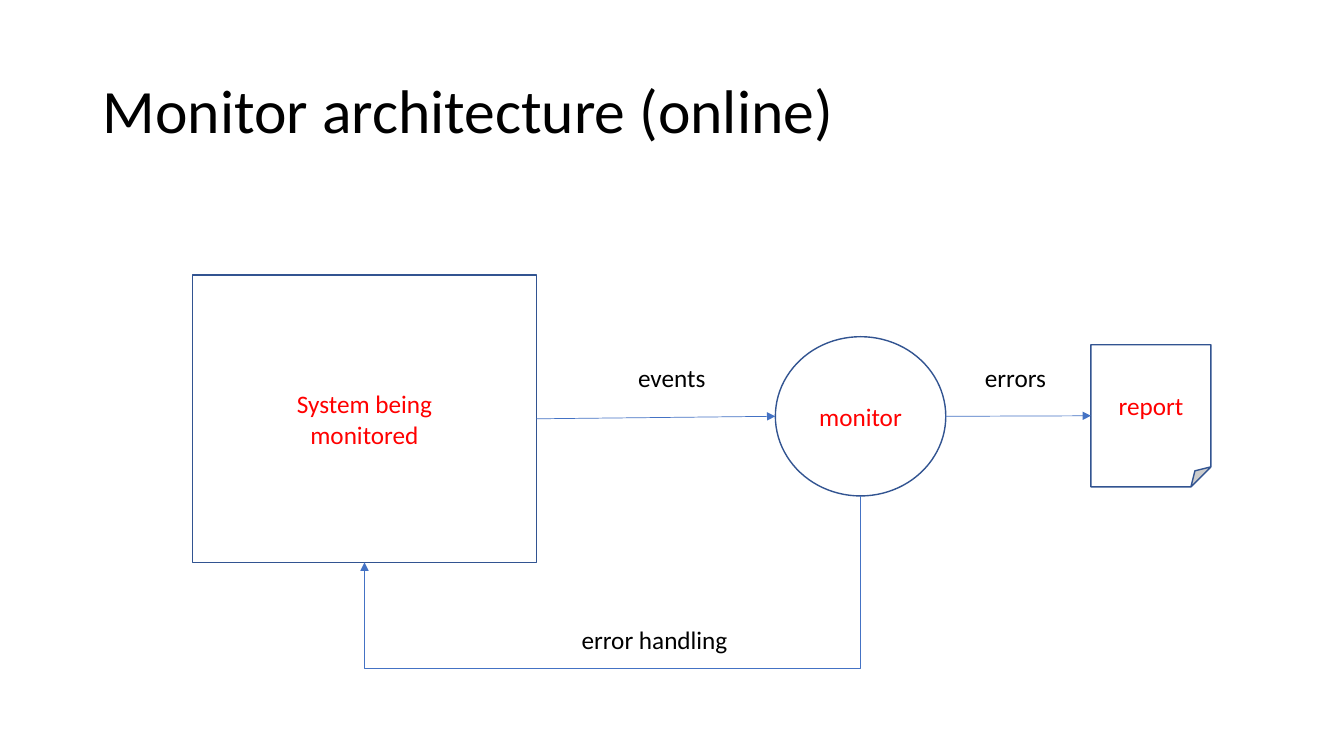
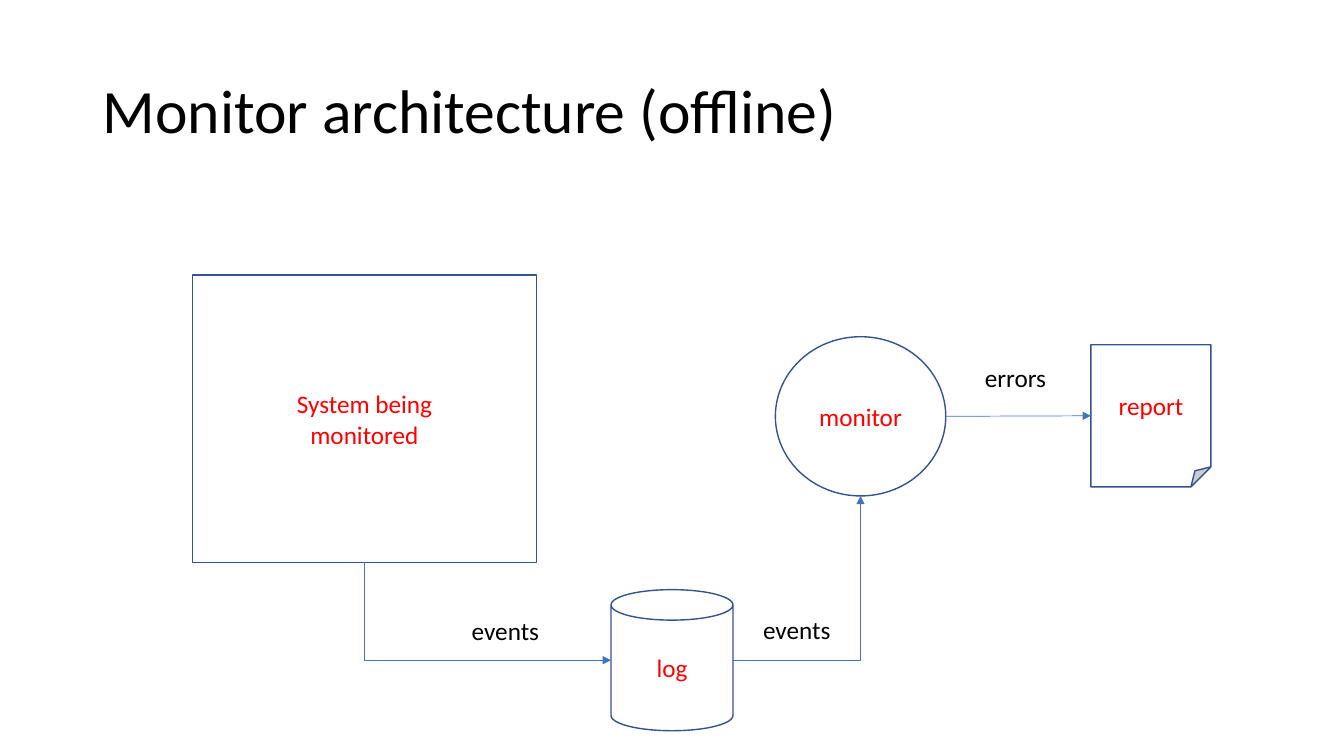
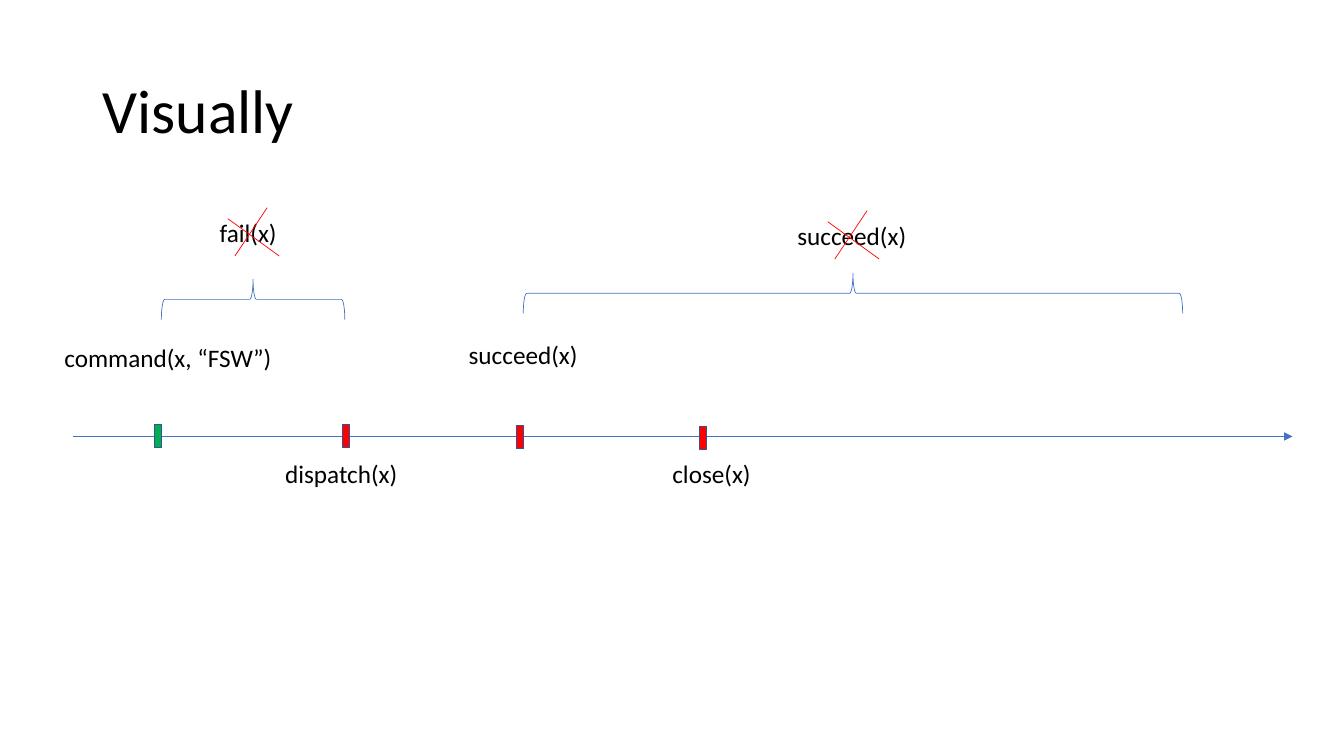
from lxml.etree import SubElement
from pptx import Presentation
from pptx.dml.color import RGBColor
from pptx.enum.shapes import MSO_CONNECTOR, MSO_SHAPE
from pptx.enum.text import MSO_ANCHOR, MSO_AUTO_SIZE, PP_ALIGN
from pptx.oxml.ns import qn
from pptx.util import Inches, Pt

# Shared style
FONT = "Calibri"
BLACK = RGBColor(0x00, 0x00, 0x00)
WHITE = RGBColor(0xFF, 0xFF, 0xFF)
RED = RGBColor(0xFF, 0x00, 0x00)
GREEN = RGBColor(0x00, 0xB0, 0x50)
BLUE = RGBColor(0x44, 0x72, 0xC4)
DARK_BLUE = RGBColor(0x32, 0x54, 0x91)

# Connection sites, numbered as in each preset shape
FOUR_SITES = {"top": 0, "left": 1, "bottom": 2, "right": 3}
SITES = {
    MSO_SHAPE.RECTANGLE: FOUR_SITES,
    MSO_SHAPE.FOLDED_CORNER: FOUR_SITES,
    MSO_SHAPE.OVAL: {"top": 0, "left": 2, "bottom": 4, "right": 6},
    MSO_SHAPE.CAN: {"top": 1, "left": 2, "bottom": 3, "right": 4},
}


def format_text(frame, size, color, align=PP_ALIGN.LEFT):
    for para in frame.paragraphs:
        para.alignment = align
        for span in para.runs:
            span.font.name = FONT
            span.font.size = Pt(size)
            span.font.color.rgb = color


def add_text(page, text, left, top, width, height=0.4, size=18):
    box = page.shapes.add_textbox(Inches(left), Inches(top), Inches(width), Inches(height))
    box.text_frame.text = text
    format_text(box.text_frame, size, BLACK)
    return box.text_frame


def add_label(page, text, left, top, width):
    frame = add_text(page, text, left, top, width)
    frame.word_wrap = False
    frame.auto_size = MSO_AUTO_SIZE.SHAPE_TO_FIT_TEXT


def add_page(deck, title):
    page = deck.slides.add_slide(deck.slide_layouts[6])
    frame = add_text(page, title, 0.92, 0.4, 11.5, 1.45, size=44)
    frame.word_wrap = True
    frame.vertical_anchor = MSO_ANCHOR.MIDDLE
    frame.paragraphs[0].line_spacing = 0.9
    return page


def add_node(page, kind, left, top, width, height, text="", fill=WHITE):
    node = page.shapes.add_shape(kind, Inches(left), Inches(top), Inches(width), Inches(height))
    node.shadow.inherit = False
    node.fill.solid()
    node.fill.fore_color.rgb = fill
    node.line.color.rgb = DARK_BLUE
    node.line.width = Pt(1)
    if text:
        node.text_frame.text = text
        node.text_frame.vertical_anchor = MSO_ANCHOR.MIDDLE
        format_text(node.text_frame, 18, RED, PP_ALIGN.CENTER)
    return node


# Lines and arrows
def add_line(page, start, end, color=BLUE, arrow=False, kind=MSO_CONNECTOR.STRAIGHT):
    line = page.shapes.add_connector(kind, *start, *end)
    line.line.color.rgb = color
    line.line.width = Pt(0.5)
    if arrow:
        SubElement(line.get_or_add_ln(), qn("a:tailEnd"), type="triangle")
    SubElement(line.element.spPr, qn("a:effectLst"))
    return line


def site_point(node, side):
    across = {"left": 0, "right": 2}.get(side, 1)
    down = {"top": 0, "bottom": 2}.get(side, 1)
    return node.left + node.width * across // 2, node.top + node.height * down // 2


def link(page, source, source_side, target, target_side, kind=MSO_CONNECTOR.STRAIGHT):
    line = add_line(page, site_point(source, source_side), site_point(target, target_side),
                    arrow=True, kind=kind)
    holder = line.element.find(".//" + qn("p:cNvCxnSpPr"))
    for tag, node, side in (("a:stCxn", source, source_side), ("a:endCxn", target, target_side)):
        site = SITES[node.auto_shape_type][side]
        SubElement(holder, qn(tag), id=str(node.shape_id), idx=str(site))
    return line


def bend(line, preset, turn=0, flip=None, adjust=None):
    """Give an elbow its preset, quarter turn, flip and bend position."""
    center_x = line.left + line.width // 2
    center_y = line.top + line.height // 2
    if turn:
        line.width, line.height = line.height, line.width
        line.left = center_x - line.width // 2
        line.top = center_y - line.height // 2
    frame = line.element.spPr.find(qn("a:xfrm"))
    for name in ("flipH", "flipV"):
        frame.attrib.pop(name, None)
    if turn:
        frame.set("rot", str(turn * 60000))
    if flip:
        frame.set(flip, "1")
    geometry = line.element.spPr.find(qn("a:prstGeom"))
    geometry.set("prst", preset)
    if adjust is not None:
        guides = geometry.find(qn("a:avLst"))
        if guides is None:
            guides = SubElement(geometry, qn("a:avLst"))
        SubElement(guides, qn("a:gd"), name="adj1", fmla=f"val {round(adjust * 100000)}")


# Monitor architecture: the parts both variants share
def add_architecture(page, left, top):
    system = add_node(page, MSO_SHAPE.RECTANGLE, left, top, 3.41, 2.85, "System being\nmonitored")
    monitor = add_node(page, MSO_SHAPE.OVAL, left + 5.78, top + 0.61, 1.69, 1.58, "monitor")
    report = add_node(page, MSO_SHAPE.FOLDED_CORNER, left + 8.91, top + 0.69, 1.19, 1.41, "report")
    link(page, monitor, "right", report, "left")
    add_label(page, "errors", left + 7.76, top + 0.82, 0.81)
    return system, monitor


def add_online(page, left, top):
    system, monitor = add_architecture(page, left, top)
    link(page, system, "right", monitor, "left")
    add_label(page, "events", left + 4.32, top + 0.82, 0.88)
    feedback = link(page, monitor, "bottom", system, "bottom", MSO_CONNECTOR.ELBOW)
    bend(feedback, "bentConnector3", turn=90, adjust=2.59)
    add_label(page, "error handling", left + 3.76, top + 3.41, 1.67)


def add_offline(page, left, top):
    system, monitor = add_architecture(page, left, top)
    log = add_node(page, MSO_SHAPE.CAN, left + 4.15, top + 3.12, 1.21, 1.4, "log")
    recording = link(page, system, "bottom", log, "left", MSO_CONNECTOR.ELBOW)
    bend(recording, "bentConnector2", turn=270, flip="flipH")
    replay = link(page, log, "right", monitor, "bottom", MSO_CONNECTOR.ELBOW)
    bend(replay, "bentConnector2", flip="flipV")
    add_label(page, "events", left + 2.67, top + 3.33, 0.88)
    add_label(page, "events", left + 5.56, top + 3.32, 0.88)


# Timeline
def add_forbidden(page, left, top, width, text, text_left, text_width, rise):
    """Brace over a stretch of time, with the event that must not occur crossed out."""
    middle, height = left + width / 2, 0.4
    brace = page.shapes.add_shape(
        MSO_SHAPE.RIGHT_BRACE, Inches(middle - height / 2), Inches(top + height / 2 - width / 2),
        Inches(height), Inches(width))
    brace.rotation = 270
    brace.shadow.inherit = False
    brace.fill.background()
    brace.line.color.rgb = BLUE
    brace.line.width = Pt(0.5)

    cross_left, cross_top = middle - 0.25, top - rise
    add_label(page, text, text_left, cross_top + 0.05, text_width)
    for x1, y1, x2, y2 in ((0, 0.11, 0.51, 0.48), (0.07, 0.48, 0.39, 0)):
        add_line(page, (Inches(cross_left + x1), Inches(cross_top + y1)),
                 (Inches(cross_left + x2), Inches(cross_top + y2)), RED)


def add_timeline(page, left, axis, width):
    add_line(page, (Inches(left), Inches(axis)), (Inches(left + width), Inches(axis)), arrow=True)
    # Event: tick offset and drop, colour, label, label offset, drop and width
    events = (
        (0.81, -0.12, GREEN, "command(x, “FSW”)", -0.18, -0.98, 2.28),
        (2.68, -0.12, RED, "dispatch(x)", 2.01, 0.17, 1.33),
        (4.4, -0.11, RED, "succeed(x)", 3.83, -1.01, 1.3),
        (6.22, -0.1, RED, "close(x)", 5.85, 0.17, 0.99),
    )
    for tick, drop, color, text, text_left, text_drop, text_width in events:
        add_node(page, MSO_SHAPE.RECTANGLE, left + tick, axis + drop, 0.07, 0.23, fill=color)
        add_label(page, text, left + text_left, axis + text_drop, text_width)
    add_forbidden(page, left + 0.88, axis - 1.56, 1.82, "fail(x)", left + 1.36, 0.77, rise=0.71)
    add_forbidden(page, left + 4.47, axis - 1.62, 6.54, "succeed(x)", left + 7.09, 1.3, rise=0.62)


def main():
    deck = Presentation()
    deck.slide_width, deck.slide_height = Inches(13.33), Inches(7.5)
    add_online(add_page(deck, "Monitor architecture (online)"), 1.91, 2.73)
    add_offline(add_page(deck, "Monitor architecture (offline)"), 1.91, 2.73)
    add_timeline(add_page(deck, "Visually"), 0.72, 4.33, 12.1)
    deck.save("out.pptx")


if __name__ == "__main__":
    main()
